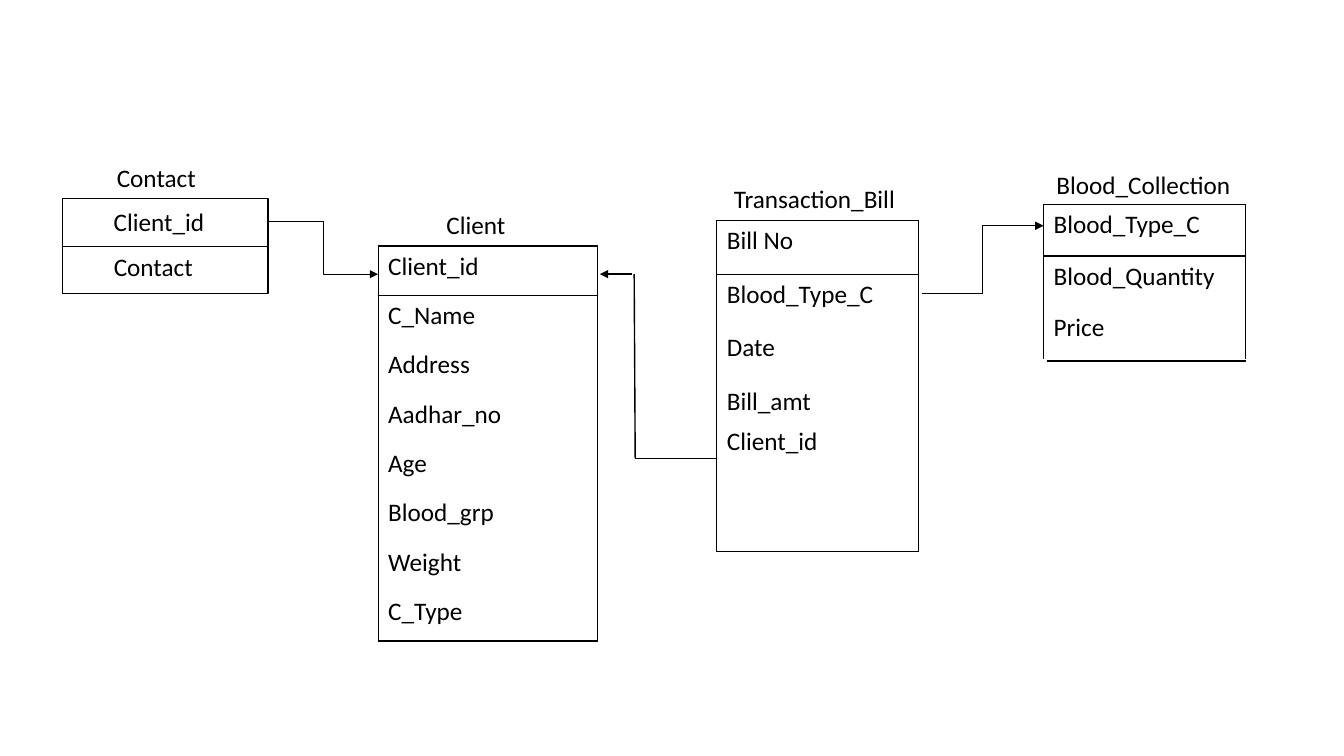
from dataclasses import dataclass
from pptx import Presentation
from pptx.dml.color import RGBColor as RGB
from pptx.enum.shapes import MSO_CONNECTOR as LINK, MSO_SHAPE as SHAPE
from pptx.oxml.ns import qn
from pptx.util import Inches, Pt
from lxml.etree import SubElement as Sub, Element


@dataclass(frozen=True)
class Theme:
    """Hold the colours, font and sizes."""
    ink: RGB = RGB(0, 0, 0)
    paper: RGB = RGB(255, 255, 255)
    font: str = "Calibri"
    size: float = 18
    thin: float = 0.5
    rule: float = 1


LOOK = Theme()


def write(frame, text):
    """Add one run in the theme font."""
    run = frame.paragraphs[0].add_run()
    run.text = text
    run.font.name = LOOK.font
    run.font.size = Pt(LOOK.size)
    run.font.color.rgb = LOOK.ink


def label(slide, box, text):
    """Place a wrapped text box."""
    area = slide.shapes.add_textbox(*map(Inches, box))
    area.text_frame.word_wrap = True
    write(area.text_frame, text)


def link(slide, start, end, width=LOOK.rule, kind=LINK.STRAIGHT, arrow=False):
    """Draw a line, with an arrowhead at its end if asked."""
    line = slide.shapes.add_connector(kind, *map(Inches, start + end))
    line.line.color.rgb = LOOK.ink
    line.line.width = Pt(width)
    if arrow:
        Sub(line.line._get_or_add_ln(), qn("a:tailEnd"), type="triangle")
    Sub(line._element.spPr, qn("a:effectLst"))


def edge(cell, sides):
    """Rule the given sides of a cell and clear the others."""
    props = cell._tc.get_or_add_tcPr()
    for spot, side in enumerate("LRTB"):
        ln = Element(qn("a:ln" + side), w=str(Pt(LOOK.rule)))
        if side in sides:
            fill = Sub(ln, qn("a:solidFill"))
            Sub(fill, qn("a:srgbClr"), val=str(LOOK.ink))
        else:
            Sub(ln, qn("a:noFill"))
        props.insert(spot, ln)


def entity(slide, box, title, shift, fields, rows, closed=True):
    """Build a titled table with its key field ruled off."""
    left, top, width = box
    dx, dy, wide = shift
    frame = slide.shapes.add_table(
        len(rows), 1, *map(Inches, (left, top, width, sum(rows))))
    table = frame.table
    table.first_row = table.horz_banding = False
    last = len(rows) - 1
    for i, (field, tall) in enumerate(zip(fields, rows)):
        table.rows[i].height = Inches(tall)
        cell = table.cell(i, 0)
        cell.fill.background()
        sides = "LR" + {0: "TB", 1: "T"}.get(i, "")
        edge(cell, sides + ("B" if closed and i == last else ""))
        if field:
            write(cell.text_frame, field)
    label(slide, (left + dx, top + dy, wide, 0.4), title)


def contact(slide, left, top):
    """Build the contact box with its two fields."""
    wide, tall = 2.04, 0.94
    box = slide.shapes.add_shape(
        SHAPE.RECTANGLE, *map(Inches, (left, top, wide, tall)))
    box.shadow.inherit = False
    box.fill.solid()
    box.fill.fore_color.rgb = LOOK.paper
    box.line.color.rgb = LOOK.ink
    box.line.width = Pt(LOOK.rule)
    mid = top + tall / 2
    link(slide, (left, mid), (left + wide, mid), LOOK.thin)
    for dx, dy, span, text in ((0.41, 0.47, 1.88, "Contact"),
                               (0.41, 0.03, 1.3, "Client_id"),
                               (0.44, -0.41, 1.12, "Contact")):
        label(slide, (left + dx, top + dy, span, 0.4), text)


def links(slide):
    """Join the matching keys of the tables."""
    link(slide, (7.11, 4.55), (6.3, 4.55))
    link(slide, (6.3, 4.55), (6.29, 2.72))
    link(slide, (6.27, 2.72), (5.95, 2.72), arrow=True)
    link(slide, (2.66, 2.2), (3.75, 2.72), LOOK.thin, LINK.ELBOW, True)
    link(slide, (9.14, 2.91), (10.35, 2.24), LOOK.rule, LINK.ELBOW, True)


def schema(slide):
    """Lay out the blood bank schema."""
    contact(slide, 0.62, 1.97)
    entity(slide, (3.75, 2.44, 2.18), "Client", (0.58, -0.41, 0.8),
           ("Client_id", "C_Name", "Address", "Aadhar_no", "Age",
            "Blood_grp", "Weight", "C_Type"), [0.49] * 8)
    entity(slide, (7.11, 2.19, 2), "Transaction_Bill", (0.07, -0.42, 2.57),
           ("Bill No", "Blood_Type_C", "Date", "Bill_amt", "Client_id", ""),
           [0.53] * 3 + [0.4, 0.82, 0.47])
    entity(slide, (10.35, 2.03, 2), "Blood_Collection", (0.03, -0.4, 2.57),
           ("Blood_Type_C", "Blood_Quantity", "Price"), [0.51] * 3, False)
    link(slide, (10.38, 3.58), (12.36, 3.58))
    links(slide)


def main():
    """Make and save the deck."""
    deck = Presentation()
    deck.slide_width, deck.slide_height = Inches(13.33), Inches(7.5)
    schema(deck.slides.add_slide(deck.slide_layouts[6]))
    deck.save("out.pptx")


if __name__ == "__main__":
    main()
